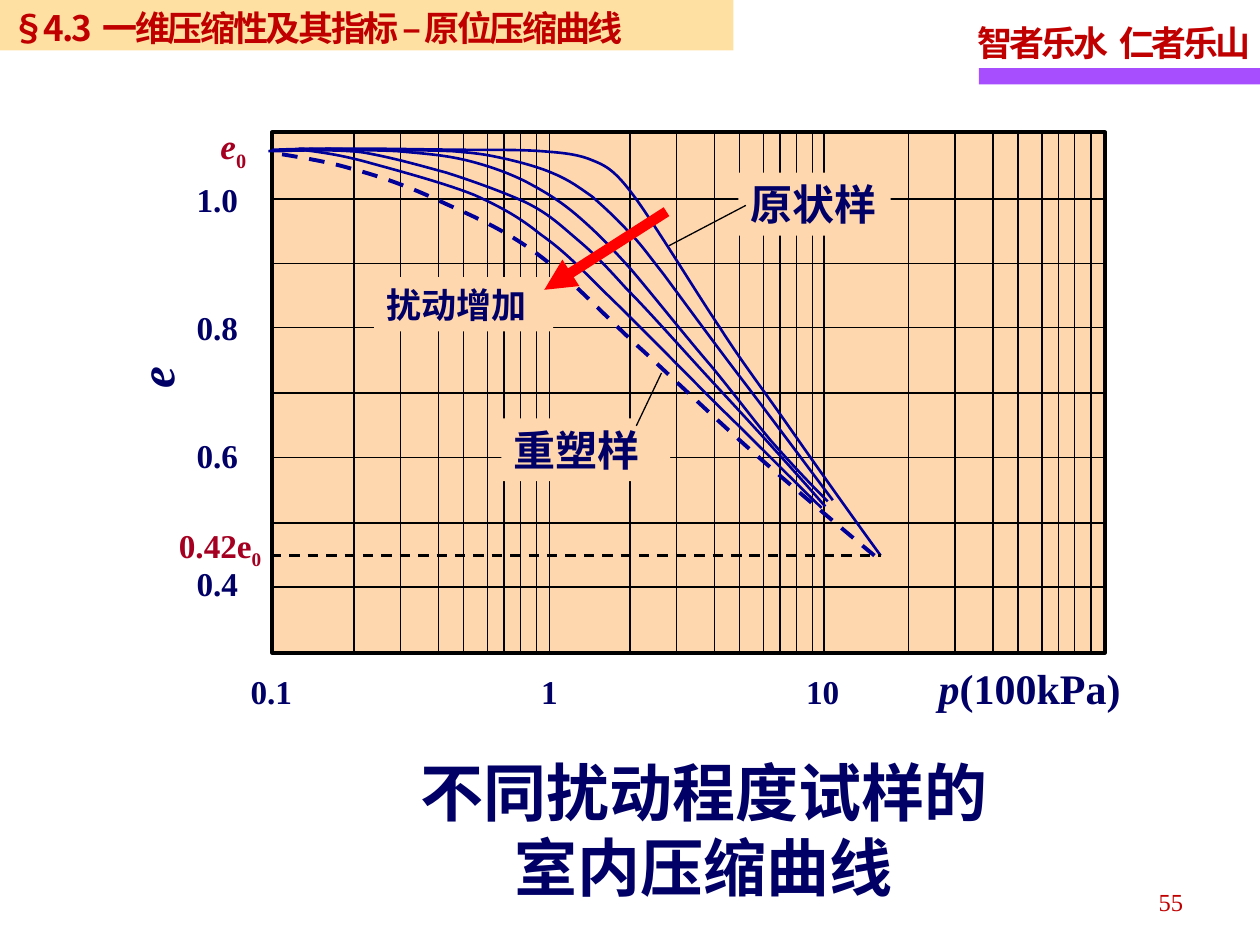
"""Build the slide of laboratory compression curves at different disturbance levels."""
from dataclasses import dataclass

from lxml import etree
from pptx import Presentation
from pptx import util as u
from pptx.dml.color import RGBColor
from pptx.enum import dml, shapes, text
from pptx.oxml.ns import qn


@dataclass(frozen=True)
class Theme:
    """Colours, fonts and type sizes of the slide."""
    navy: str = "000066"
    curve: str = "000099"
    crimson: str = "A50021"
    heading: str = "C00000"
    arrow: str = "FF0000"
    grid: str = "000000"
    panel: str = "FFD7AF"
    banner: str = "FFCC66"
    bar: str = "A74FFF"
    latin: str = "Times New Roman"
    chinese: str = "Noto Sans CJK SC"
    page: int = 14
    tick: int = 19
    body: int = 20
    large: int = 24
    axis: int = 28
    caption: int = 36
    gap_tracking: float = 1.6


THEME = Theme()
LEFT, TOP, RIGHT, BOTTOM = 2.16, 1.05, 8.77, 5.18
ROWS = (1.58, 2.09, 2.6, 3.12, 3.63, 4.15, 4.66)
DECADE_STARTS = (2.16, 4.35, 6.56)
DECADE_LINES = (4.36, 6.54)
LOG_OFFSETS = (0.65, 1.02, 1.32, 1.52, 1.71, 1.84, 1.97, 2.1)

UPPER_CURVES = (
    ((2.16, 1.19), (2.37, 1.18), (2.57, 1.18), (2.84, 1.18), (3.11, 1.18), (3.55, 1.19),
     (3.79, 1.19), (4.03, 1.19), (4.14, 1.19), (4.29, 1.2), (4.43, 1.21), (4.56, 1.22),
     (4.67, 1.26), (4.77, 1.3), (4.83, 1.32), (4.93, 1.43), (5.03, 1.54), (5.14, 1.71),
     (5.27, 1.91), (5.4, 2.11), (5.56, 2.37), (5.72, 2.61), (5.88, 2.86), (6.04, 3.07),
     (6.25, 3.37), (6.46, 3.67), (6.72, 4.04), (6.99, 4.41)),
    ((6.61, 3.97), (6.34, 3.61), (6.08, 3.26), (5.85, 2.96), (5.63, 2.67), (5.41, 2.37),
     (5.27, 2.18), (5.12, 1.99), (5.09, 1.94), (4.99, 1.84), (4.89, 1.73), (4.79, 1.64),
     (4.7, 1.56), (4.6, 1.49), (4.52, 1.43), (4.4, 1.38), (4.29, 1.33), (4.14, 1.29),
     (4.01, 1.26), (3.87, 1.23), (3.83, 1.22), (3.59, 1.2), (3.35, 1.19), (2.97, 1.19),
     (2.58, 1.18)),
    ((6.57, 3.98), (6.42, 3.83), (6.28, 3.68), (6.12, 3.5), (5.97, 3.32), (5.83, 3.13),
     (5.64, 2.9), (5.45, 2.68), (5.18, 2.34), (5.01, 2.14), (4.83, 1.94), (4.72, 1.83),
     (4.58, 1.71), (4.44, 1.59), (4.32, 1.52), (4.17, 1.44), (4.03, 1.37), (3.86, 1.31),
     (3.69, 1.27), (3.52, 1.23), (3.37, 1.22), (3.15, 1.2), (2.93, 1.19), (2.65, 1.19),
     (2.37, 1.18)),
)
LOWER_CURVES = (
    ((6.55, 4.02), (6.26, 3.69), (5.96, 3.36), (5.7, 3.08), (5.43, 2.79), (5.16, 2.48),
     (4.97, 2.29), (4.79, 2.09), (4.71, 2.01), (4.58, 1.9), (4.45, 1.79), (4.36, 1.7),
     (4.18, 1.61), (4.01, 1.53), (3.76, 1.44), (3.54, 1.37), (3.32, 1.31), (3.11, 1.25),
     (2.88, 1.21), (2.65, 1.18), (2.28, 1.2), (2.16, 1.2)),
    ((6.52, 4.03), (6.26, 3.78), (6.01, 3.52), (5.72, 3.24), (5.43, 2.95), (5.03, 2.54),
     (4.79, 2.31), (4.56, 2.08), (4.46, 1.98), (4.29, 1.86), (4.13, 1.73), (3.99, 1.65),
     (3.77, 1.55), (3.55, 1.46), (3.18, 1.36), (2.96, 1.3), (2.75, 1.24), (2.62, 1.22),
     (2.48, 1.2), (2.34, 1.18), (2.24, 1.19), (2.13, 1.2)),
)
REMOULDED_CURVE = (
    (6.94, 4.41), (6.77, 4.27), (6.21, 3.8), (5.91, 3.53), (5.61, 3.26), (5.39, 3.05),
    (5.12, 2.8), (4.84, 2.55), (4.54, 2.22), (4.27, 2.02), (4, 1.82), (3.76, 1.72),
    (3.52, 1.61), (3.27, 1.49), (3.02, 1.4), (2.79, 1.34), (2.56, 1.27), (2.25, 1.23),
    (2.15, 1.21))


def rgb(code):
    return RGBColor.from_string(code)


def add_run(paragraph, content, size, color, bold=True, italic=False, latin=THEME.latin,
            **attributes):
    run = paragraph.add_run()
    run.text = content
    font = run.font
    font.size, font.bold, font.italic, font.name = u.Pt(size), bold, italic, latin
    font.color.rgb = rgb(color)
    properties = run._r.get_or_add_rPr()
    etree.SubElement(properties, qn("a:ea")).set("typeface", THEME.chinese)
    for name, value in attributes.items():
        properties.set(name, str(round(value)))


def fill_text(shape, content, size, color, align=text.PP_ALIGN.LEFT, **style):
    frame = shape.text_frame
    frame.word_wrap = True
    frame.auto_size = text.MSO_AUTO_SIZE.NONE
    frame.vertical_anchor = text.MSO_ANCHOR.MIDDLE
    paragraph = frame.paragraphs[0]
    paragraph.alignment = align
    add_run(paragraph, content, size, color, **style)
    return paragraph


def fill_spaced_heading(shape, content, tracking, **style):
    """Write a tightly tracked heading whose first space is widened."""
    first, space, rest = content.partition(" ")
    common = dict(size=THEME.body, color=THEME.heading, **style)
    paragraph = fill_text(shape, first, spc=tracking * 100, **common)
    add_run(paragraph, space, spc=THEME.gap_tracking * 100, **common)
    add_run(paragraph, rest, spc=tracking * 100, **common)


def add_text_box(slide, box):
    return slide.shapes.add_textbox(*map(u.Inches, box))


def add_axis_text(slide, box, content, size, color=THEME.navy, **style):
    shape = add_text_box(slide, box)
    paragraph = fill_text(shape, content, size, color, **style)
    frame = shape.text_frame
    frame.vertical_anchor = text.MSO_ANCHOR.TOP
    frame.margin_left = frame.margin_right = u.Inches(0.08)
    frame.margin_top = frame.margin_bottom = u.Inches(0.04)
    return shape, paragraph


def add_initial_value(slide, box, content, size, italic):
    _, paragraph = add_axis_text(slide, box, content, size, THEME.crimson, italic=italic)
    add_run(paragraph, "0", size, THEME.crimson, baseline=-25000)


def add_box(slide, box, fill):
    shape = slide.shapes.add_shape(shapes.MSO_SHAPE.RECTANGLE, *map(u.Inches, box))
    shape.shadow.inherit = False
    shape.fill.solid()
    shape.fill.fore_color.rgb = rgb(fill)
    shape.line.fill.background()
    return shape


def add_plate(slide, box, content, size):
    fill_text(add_box(slide, box, THEME.panel), content, size, THEME.navy)


def style_line(line, color, width, dashed=False):
    line.color.rgb = rgb(color)
    line.width = u.Pt(width)
    if dashed:
        line.dash_style = dml.MSO_LINE.DASH


def add_line(slide, start, end, color=THEME.grid, width=0.75, dashed=False, arrow=False):
    connector = slide.shapes.add_connector(
        shapes.MSO_CONNECTOR.STRAIGHT, *map(u.Inches, start + end))
    style_line(connector.line, color, width, dashed)
    properties = connector._element.spPr
    if arrow:
        etree.SubElement(properties.find(qn("a:ln")), qn("a:tailEnd")).set("type", "triangle")
    etree.SubElement(properties, qn("a:effectLst"))


def add_curve(slide, points, width=1.5, dashed=False):
    """Draw a chain of cubic Bezier segments through a freeform outline."""
    corners = [(u.Inches(x), u.Inches(y)) for x, y in points]
    builder = slide.shapes.build_freeform(*corners[0])
    builder.add_line_segments(corners[1:], close=False)
    shape = builder.convert_to_shape()
    segments = list(shape._element.iter(qn("a:lnTo")))
    outline = segments[0].getparent()
    for index in range(0, len(segments), 3):
        bezier = etree.SubElement(outline, qn("a:cubicBezTo"))
        for segment in segments[index:index + 3]:
            bezier.append(segment[0])
            outline.remove(segment)
    shape.shadow.inherit = False
    shape.fill.background()
    style_line(shape.line, THEME.curve, width, dashed)


def add_title(slide):
    title = slide.shapes.title
    title.left, title.top, title.width, title.height = map(u.Inches, (-0.01, 0, 5.83, 0.4))
    title.fill.solid()
    title.fill.fore_color.rgb = rgb(THEME.banner)
    color = title._element.spPr.find(qn("a:solidFill"))[0]
    etree.SubElement(color, qn("a:alpha")).set("val", "60000")
    fill_spaced_heading(title, "§4.3 一维压缩性及其指标 – 原位压缩曲线", -1.4,
                        latin=THEME.chinese)
    title.text_frame.margin_top = u.Inches(0.08)


def add_grid(slide):
    panel = add_box(slide, (LEFT, TOP, RIGHT - LEFT, BOTTOM - TOP), THEME.panel)
    style_line(panel.line, THEME.grid, 2.25)
    for y in ROWS:
        add_line(slide, (LEFT, y), (RIGHT, y))
    columns = [start + offset for start in DECADE_STARTS for offset in LOG_OFFSETS]
    for x in (*columns, *DECADE_LINES):
        add_line(slide, (x, TOP), (x, BOTTOM))


def add_axis_labels(slide):
    _, pressure = add_axis_text(slide, (1.91, 5.22, 7.57, 0.58), "0.1\t1\t10\t", THEME.tick)
    tabs = etree.SubElement(pressure._p.get_or_add_pPr(), qn("a:tabLst"))
    for position, align in ((2.37, "ctr"), (4.54, "ctr"), (5.46, "l")):
        tab = etree.SubElement(tabs, qn("a:tab"))
        tab.set("pos", str(u.Inches(position)))
        tab.set("algn", align)
    add_run(pressure, "p", THEME.large, THEME.navy, italic=True)
    add_run(pressure, "(100kPa)", THEME.large, THEME.navy)
    ratios, paragraph = add_axis_text(slide, (1.48, 1.38, 0.59, 3.47), "1.0", THEME.tick)
    paragraph.line_spacing = u.Pt(23)
    for value in ("0.8", "0.6", "0.4"):
        paragraph = ratios.text_frame.add_paragraph()
        paragraph.line_spacing, paragraph.space_before = u.Pt(23), u.Pt(50.1)
        add_run(paragraph, value, THEME.tick, THEME.navy)
    axis, _ = add_axis_text(slide, (1.08, 2.68, 0.36, 0.61), "e", THEME.axis, italic=True)
    axis.rotation = 270
    add_initial_value(slide, (1.67, 0.95, 0.44, 0.4), "e", THEME.body, True)
    add_initial_value(slide, (1.34, 4.13, 0.99, 0.4), "0.42e", THEME.tick, False)


def add_curves(slide):
    for points in UPPER_CURVES:
        add_curve(slide, points)
    add_line(slide, (2.15, 4.41), (6.99, 4.41), width=1.5, dashed=True)
    add_plate(slide, (2.97, 2.2, 1.42, 0.43), "扰动增加", THEME.body)
    for points in LOWER_CURVES:
        add_curve(slide, points)
    add_curve(slide, REMOULDED_CURVE, 2.25, True)
    add_line(slide, (5.29, 1.68), (4.32, 2.3), THEME.arrow, 6, arrow=True)
    add_plate(slide, (5.86, 1.37, 1.21, 0.5), "原状样", THEME.large)
    add_line(slide, (5.31, 1.95), (5.92, 1.63))
    add_plate(slide, (3.98, 3.32, 1.34, 0.5), "重塑样", THEME.large)
    add_line(slide, (5.25, 2.96), (5.05, 3.38))


def main():
    presentation = Presentation()
    presentation.slide_width, presentation.slide_height = u.Inches(10), u.Inches(7.5)
    slide = presentation.slides.add_slide(presentation.slide_layouts[5])
    add_title(slide)
    add_box(slide, (7.77, 0.54, 2.23, 0.13), THEME.bar)
    motto = add_text_box(slide, (7.66, 0.09, 2.34, 0.49))
    fill_spaced_heading(motto, "智者乐水 仁者乐山", -1.7)
    motto.text_frame.word_wrap = False
    add_grid(slide)
    add_curves(slide)
    add_axis_labels(slide)
    caption = fill_text(add_text_box(slide, (3.08, 5.93, 5.01, 1.3)),
                        "不同扰动程度试样的室内压缩曲线", THEME.caption, THEME.navy,
                        text.PP_ALIGN.CENTER, latin=THEME.chinese)
    caption.line_spacing = u.Pt(43)
    fill_text(add_text_box(slide, (7.16, 6.96, 2.33, 0.4)), "55", THEME.page, THEME.heading,
              text.PP_ALIGN.RIGHT, bold=False)
    presentation.save("out.pptx")


if __name__ == "__main__":
    main()
